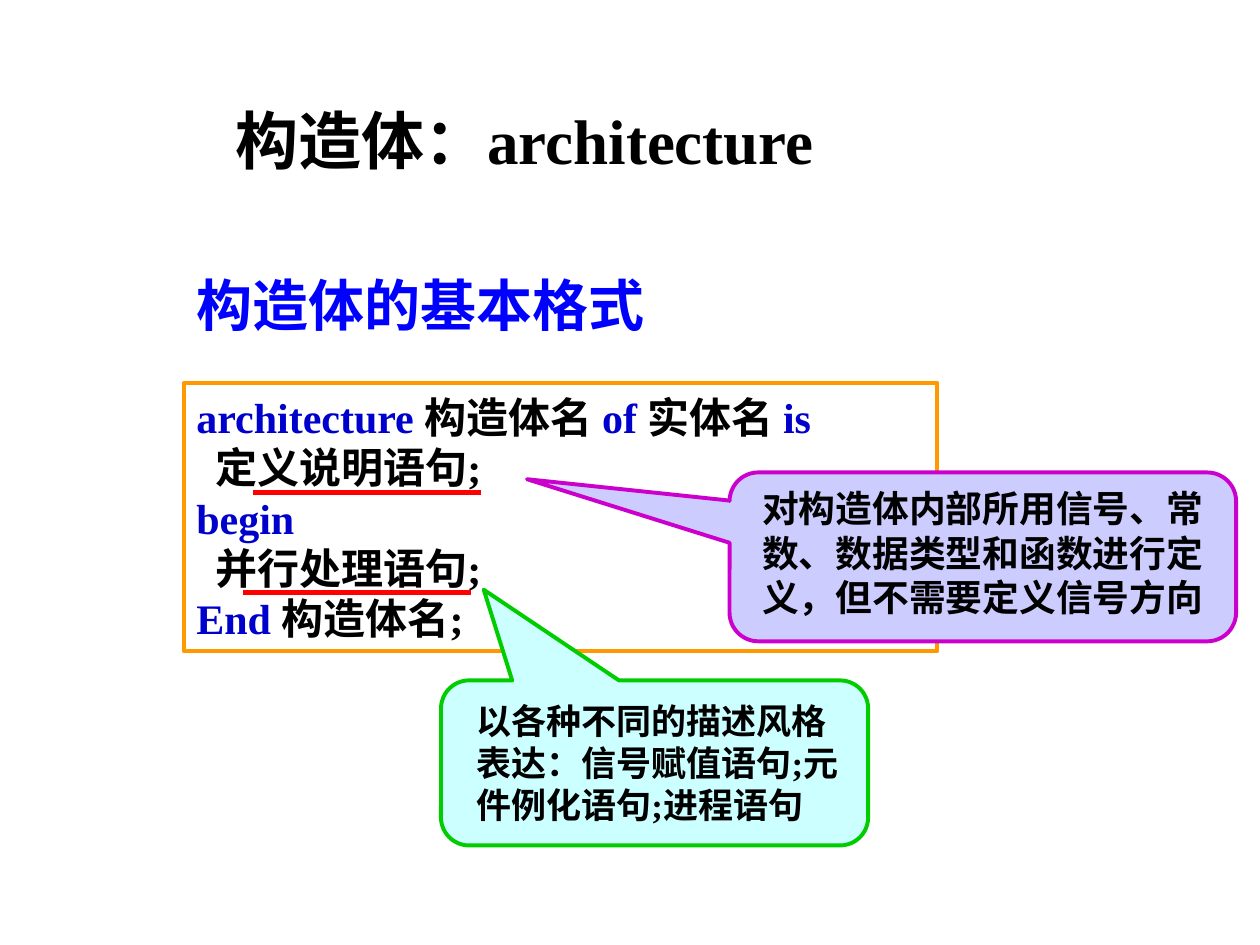
from dataclasses import dataclass

from lxml import etree
from pptx import Presentation
from pptx.dml.color import RGBColor
from pptx.enum.shapes import MSO_CONNECTOR, MSO_SHAPE
from pptx.enum.text import MSO_ANCHOR, PP_ALIGN
from pptx.oxml.ns import qn
from pptx.util import Inches, Pt

STRAIGHT = MSO_CONNECTOR.STRAIGHT
RECTANGLE = MSO_SHAPE.RECTANGLE
CALLOUT = MSO_SHAPE.ROUNDED_RECTANGULAR_CALLOUT
TOP, MIDDLE = MSO_ANCHOR.TOP, MSO_ANCHOR.MIDDLE
LEFT = PP_ALIGN.LEFT

LATIN_FONT = "Times New Roman"
CHINESE_FONT = "Noto Sans CJK SC"
LINE_PITCH = 1.2  # line height as a multiple of the text size
COLORS = {
    "text": "000000", "heading": "0000FF", "keyword": "0000CC",
    "white": "FFFFFF", "frame": "FF9900", "underline": "FF0000",
    "cyan": "CCFFFF", "green": "00CC00",
    "lilac": "CCCCFF", "purple": "CC00CC",
}


@dataclass
class Area:
    left: float
    top: float
    width: float
    height: float

    def inches(self) -> list:
        return [Inches(v) for v in (self.left, self.top, self.width, self.height)]


@dataclass
class Note:
    bubble: Area
    adjustments: tuple[float, float, float]
    fill: str
    line: str
    label: Area
    text: str
    size: int


def color(name: str) -> RGBColor:
    return RGBColor.from_string(COLORS[name])


def add_span(para, text: str, *, size: int, tint: str = "text") -> None:
    span = para.add_run()
    span.text = text
    font = span.font
    font.size, font.bold, font.name = Pt(size), True, LATIN_FONT
    font.color.rgb = color(tint)
    chinese = etree.SubElement(font._element, qn("a:ea"))
    chinese.set("typeface", CHINESE_FONT)


def write_lines(box, lines: list, *, size: int, anchor=TOP) -> None:
    """Each line is a list of (text, colour name) pairs."""
    frame = box.text_frame
    frame.word_wrap = True
    frame.vertical_anchor = anchor
    for index, line in enumerate(lines):
        para = frame.add_paragraph() if index else frame.paragraphs[0]
        para.alignment = LEFT
        para.line_spacing = Pt(size * LINE_PITCH)
        for text, tint in line:
            add_span(para, text, size=size, tint=tint)


def add_label(shapes, area: Area, text: str, *, size: int, tint: str = "text") -> None:
    box = shapes.add_textbox(*area.inches())
    write_lines(box, [[(text, tint)]], size=size)


def add_panel(shapes, kind, area: Area, *, fill: str, line: str):
    panel = shapes.add_shape(kind, *area.inches())
    panel.shadow.inherit = False
    panel.fill.solid()
    panel.fill.fore_color.rgb = color(fill)
    panel.line.color.rgb = color(line)
    panel.line.width = Pt(2.25)
    return panel


def add_note(page, note: Note) -> None:
    group = page.shapes.add_group_shape()
    bubble = add_panel(group.shapes, CALLOUT, note.bubble, fill=note.fill, line=note.line)
    for index, value in enumerate(note.adjustments):
        bubble.adjustments[index] = value
    add_label(group.shapes, note.label, note.text, size=note.size)


def add_underline(page, left: float, top: float, width: float) -> None:
    rule = page.shapes.add_connector(
        STRAIGHT, Inches(left), Inches(top), Inches(left + width), Inches(top))
    rule.line.color.rgb = color("underline")
    rule.line.width = Pt(3)
    etree.SubElement(rule._element.spPr, qn("a:effectLst"))


CODE = [
    [("architecture ", "keyword"), ("构造体名 ", "text"), ("of ", "keyword"),
     ("实体名 ", "text"), ("is", "keyword")],
    [("  定义说明语句;", "text")],
    [("begin", "keyword")],
    [("  并行处理语句;", "text")],
    [("End ", "keyword"), ("构造体名;", "text")],
]
NOTES = [
    Note(Area(3.5, 5.4, 3.39, 1.31), (-0.4, -1.05, 0.17), "cyan", "green",
         Area(3.68, 5.5, 3.23, 1.1),
         "以各种不同的描述风格表达：信号赋值语句;元件例化语句;进程语句", 20),
    Note(Area(5.79, 3.75, 4.02, 1.34), (-0.9, -0.46, 0.17), "lilac", "purple",
         Area(5.95, 3.81, 3.86, 1.15),
         "对构造体内部所用信号、常数、数据类型和函数进行定义，但不需要定义信号方向", 21),
]


def main() -> None:
    deck = Presentation()
    deck.slide_width, deck.slide_height = Inches(10), Inches(7.5)
    page = deck.slides.add_slide(deck.slide_layouts[6])

    # Section heading
    add_label(page.shapes, Area(1.46, 2.1, 4.72, 0.63), "构造体的基本格式",
              size=32, tint="heading")

    # Framed syntax
    syntax = add_panel(page.shapes, RECTANGLE, Area(1.46, 3.04, 5.98, 2.13),
                       fill="white", line="frame")
    write_lines(syntax, CODE, size=24, anchor=MIDDLE)

    # Explanations of the two statement parts
    for note in NOTES:
        add_note(page, note)

    # Underlines of the explained parts
    for left, top in ((2.01, 3.91), (1.93, 4.7)):
        add_underline(page, left, top, 1.81)

    # Title
    add_label(page.shapes, Area(1.77, 0.76, 7.16, 0.7), "构造体：architecture", size=36)

    deck.save("out.pptx")


if __name__ == "__main__":
    main()
